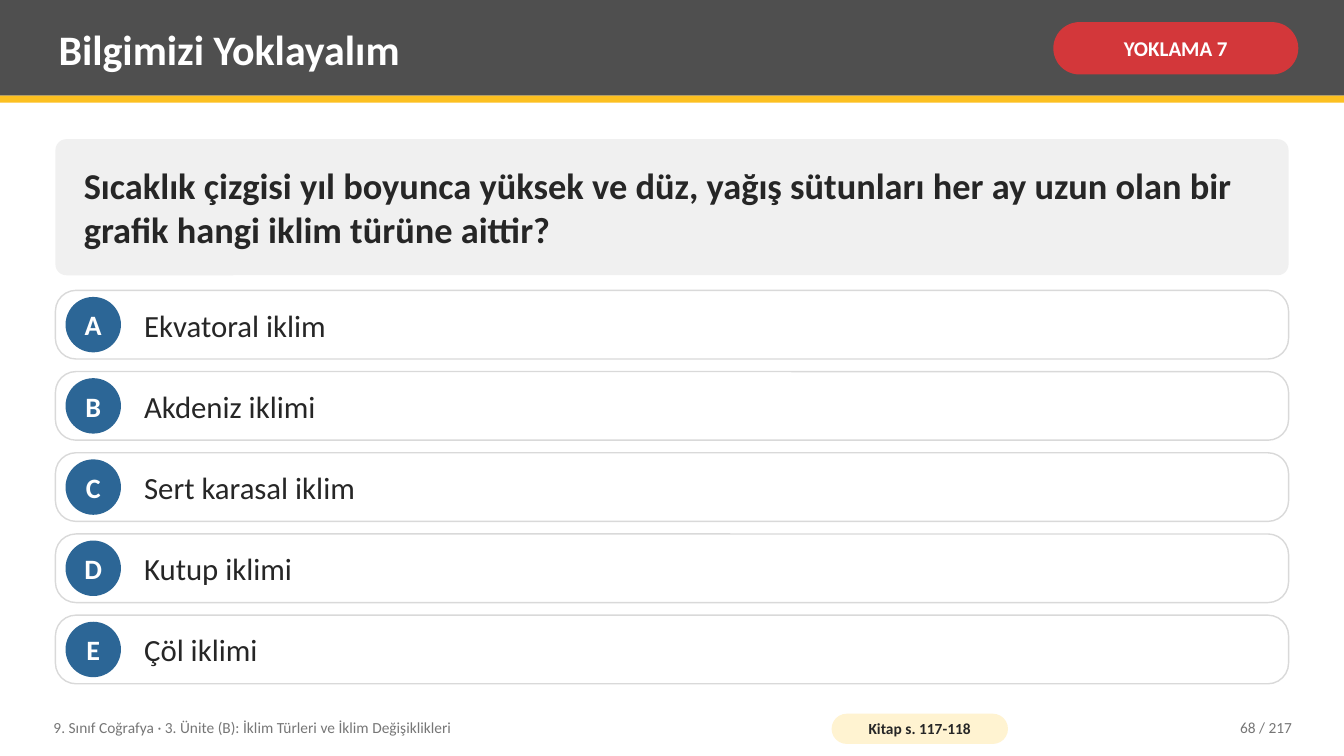
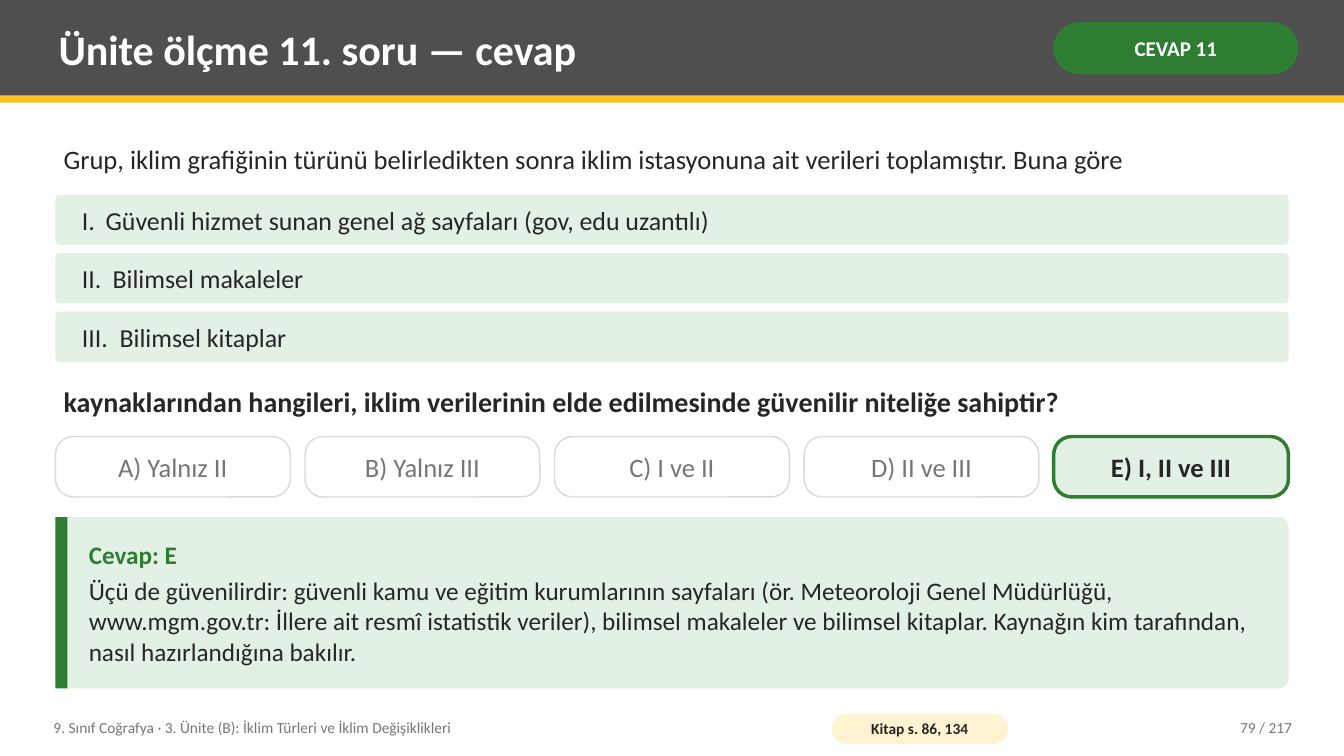
from lxml.etree import SubElement
from pptx import Presentation
from pptx.dml.color import RGBColor
from pptx.enum.shapes import MSO_SHAPE
from pptx.enum.text import MSO_ANCHOR, MSO_AUTO_SIZE, PP_ALIGN
from pptx.oxml.ns import qn
from pptx.util import Pt

WHITE = RGBColor(0xFF, 0xFF, 0xFF)
INK = RGBColor(0x26, 0x26, 0x26)
MUTED = RGBColor(0x76, 0x76, 0x76)
CHARCOAL = RGBColor(0x4F, 0x4F, 0x4F)
YELLOW = RGBColor(0xFC, 0xC0, 0x21)
CREAM = RGBColor(0xFF, 0xF3, 0xD1)
RED = RGBColor(0xD3, 0x37, 0x3A)
BLUE = RGBColor(0x2C, 0x66, 0x96)
GREEN = RGBColor(0x2E, 0x7D, 0x32)
MINT = RGBColor(0xE3, 0xF1, 0xE4)
PALE = RGBColor(0xF0, 0xF0, 0xF0)
BORDER = RGBColor(0xD9, 0xD9, 0xD9)

FONT = "Calibri"
WIDTH, HEIGHT = 960, 540
LEFT = 39.6
CONTENT = WIDTH - 2 * LEFT
TEXT_INSET = (5.8, 2.9)
PANEL_INSET = (18, 5.8)
CHOICE_INSET = (10, 5.8)
PAGE_COUNT = 217
UNIT = "9. Sınıf Coğrafya · 3. Ünite (B): İklim Türleri ve İklim Değişiklikleri"


class Deck:
    """Lesson style together with the slide being built."""

    def __init__(self):
        self.presentation = Presentation()
        self.presentation.slide_width = Pt(WIDTH)
        self.presentation.slide_height = Pt(HEIGHT)
        self.slide = None

    def start(self, title, tag, tag_color, book_pages, page):
        layout = self.presentation.slide_layouts.get_by_name("Title Only")
        self.slide = self.presentation.slides.add_slide(layout)
        self.box((0, 0, WIDTH, 68.4), CHARCOAL)
        self.box((0, 68.4, WIDTH, 5), YELLOW)
        self.title(title)
        tag_pill = self.box((752.4, 15.8, 175, 37.4), tag_color, radius=0.5)
        self.fill_text(tag_pill, [(tag, 15, WHITE, True)], PP_ALIGN.CENTER, (3.6, 1.4))
        self.text((32.4, 506.9, 547.2, 25.9), [(UNIT, 11, MUTED, False)])
        book_pill = self.box((594, 509.8, 126, 21.6), CREAM, radius=0.5)
        self.fill_text(book_pill, [(f"Kitap s. {book_pages}", 11, INK, True)],
                       PP_ALIGN.CENTER, (2.9, 0))
        self.text((813.6, 506.9, 115.2, 25.9),
                  [(f"{page} / {PAGE_COUNT}", 11, MUTED, False)], PP_ALIGN.RIGHT)

    def title(self, words):
        heading = self.slide.shapes.title
        heading.left, heading.top, heading.width, heading.height = map(
            Pt, (36, 5, 702, 59))
        self.fill_text(heading, [(words, 30, WHITE, True)])
        self.slide.shapes._spTree.append(heading._element)

    def box(self, area, fill, radius=None, border=None, kind=MSO_SHAPE.RECTANGLE):
        if radius is not None:
            kind = MSO_SHAPE.ROUNDED_RECTANGLE
        shape = self.slide.shapes.add_shape(kind, *map(Pt, area))
        if radius is not None:
            shape.adjustments[0] = radius
        shape.shadow.inherit = False
        shape.fill.solid()
        shape.fill.fore_color.rgb = fill
        if border:
            shape.line.color.rgb = border[0]
            shape.line.width = Pt(border[1])
        else:
            shape.line.fill.background()
        return shape

    def text(self, area, lines, align=PP_ALIGN.LEFT, gap=0):
        holder = self.slide.shapes.add_textbox(*map(Pt, area))
        self.fill_text(holder, lines, align, gap=gap)

    def fill_text(self, holder, lines, align=PP_ALIGN.LEFT, inset=TEXT_INSET,
                  gap=0, wrap=True, tab=None):
        frame = holder.text_frame
        frame.auto_size = MSO_AUTO_SIZE.NONE
        frame.word_wrap = wrap
        frame.vertical_anchor = MSO_ANCHOR.MIDDLE
        frame.margin_left = frame.margin_right = Pt(inset[0])
        frame.margin_top = frame.margin_bottom = Pt(inset[1])
        for index, (words, size, color, bold) in enumerate(lines):
            paragraph = frame.add_paragraph() if index else frame.paragraphs[0]
            paragraph.alignment = align
            if index < len(lines) - 1:
                paragraph.space_after = Pt(gap)
            if tab:
                stops = SubElement(paragraph._p.get_or_add_pPr(), qn("a:tabLst"))
                SubElement(stops, qn("a:tab"), pos=str(Pt(tab)), algn="l")
            run = paragraph.add_run()
            run.text = words
            run.font.name = FONT
            run.font.size = Pt(size)
            run.font.color.rgb = color
            run.font.bold = bold

    def question(self, words):
        panel = self.box((LEFT, 99.4, CONTENT, 97.2), PALE, radius=0.08)
        self.fill_text(panel, [(words, 26, INK, True)], inset=PANEL_INSET)

    def options(self, answers, top=207.4, height=49, pitch=58, badge=39.6):
        for index, (letter, answer) in enumerate(zip("ABCDE", answers)):
            row = top + index * pitch
            self.box((LEFT, row, CONTENT, height), WHITE, 0.3, (BORDER, 1))
            circle = self.box((46.8, row + (height - badge) / 2, badge, badge),
                              BLUE, kind=MSO_SHAPE.OVAL)
            self.fill_text(circle, [(letter, 20, WHITE, True)], PP_ALIGN.CENTER,
                           (0, 0), wrap=False)
            self.text((97.2, row, 808.6, height), [(answer, 22, INK, False)])

    def statements(self, sources, top=139, height=36, pitch=41.8):
        for index, source in enumerate(sources):
            numeral = "I" * (index + 1)
            panel = self.box((LEFT, top + index * pitch, CONTENT, height), MINT, 0.08)
            self.fill_text(panel, [(f"{numeral}.\t{source}", 18.5, INK, False)],
                           inset=PANEL_INSET, tab=12 + 5 * len(numeral))

    def choices(self, answers, correct, top=311.8, height=43.2, gap=10.5):
        width = (CONTENT - gap * (len(answers) - 1)) / len(answers)
        for index, (letter, answer) in enumerate(zip("ABCDE", answers)):
            right = letter == correct
            card = self.box((LEFT + index * (width + gap), top, width, height),
                            MINT if right else WHITE, 0.3,
                            (GREEN, 2.5) if right else (BORDER, 1))
            self.fill_text(card,
                           [(f"{letter}) {answer}", 19, INK if right else MUTED, right)],
                           PP_ALIGN.CENTER, CHOICE_INSET)

    def explanation(self, correct, reason, top=369.4, height=122.4):
        self.box((LEFT, top, CONTENT, height), MINT, radius=0.06)
        self.box((LEFT, top, 8.6, height), GREEN)
        self.text((57.6, top + 4.3, 855.4, height - 8.6),
                  [(f"Cevap: {correct}", 18, GREEN, True), (reason, 18, INK, False)],
                  gap=4)


def main():
    deck = Deck()

    deck.start("Bilgimizi Yoklayalım", "YOKLAMA 7", RED, "117-118", 68)
    deck.question("Sıcaklık çizgisi yıl boyunca yüksek ve düz, yağış sütunları "
                  "her ay uzun olan bir grafik hangi iklim türüne aittir?")
    deck.options(["Ekvatoral iklim", "Akdeniz iklimi", "Sert karasal iklim",
                  "Kutup iklimi", "Çöl iklimi"])

    deck.start("Ünite ölçme 11. soru — cevap", "CEVAP 11", GREEN, "86, 134", 79)
    deck.text((LEFT, 92.2, CONTENT, 43.2),
              [("Grup, iklim grafiğinin türünü belirledikten sonra iklim istasyonuna "
                "ait verileri toplamıştır. Buna göre", 19, INK, False)])
    deck.statements(["Güvenli hizmet sunan genel ağ sayfaları (gov, edu uzantılı)",
                     "Bilimsel makaleler", "Bilimsel kitaplar"])
    deck.text((LEFT, 268.6, CONTENT, 36),
              [("kaynaklarından hangileri, iklim verilerinin elde edilmesinde "
                "güvenilir niteliğe sahiptir?", 20, INK, True)])
    deck.choices(["Yalnız II", "Yalnız III", "I ve II", "II ve III", "I, II ve III"],
                 correct="E")
    deck.explanation("E", "Üçü de güvenilirdir: güvenli kamu ve eğitim kurumlarının "
                     "sayfaları (ör. Meteoroloji Genel Müdürlüğü, www.mgm.gov.tr: "
                     "İllere ait resmî istatistik veriler), bilimsel makaleler ve "
                     "bilimsel kitaplar. Kaynağın kim tarafından, nasıl "
                     "hazırlandığına bakılır.")

    deck.presentation.save("out.pptx")


if __name__ == "__main__":
    main()
